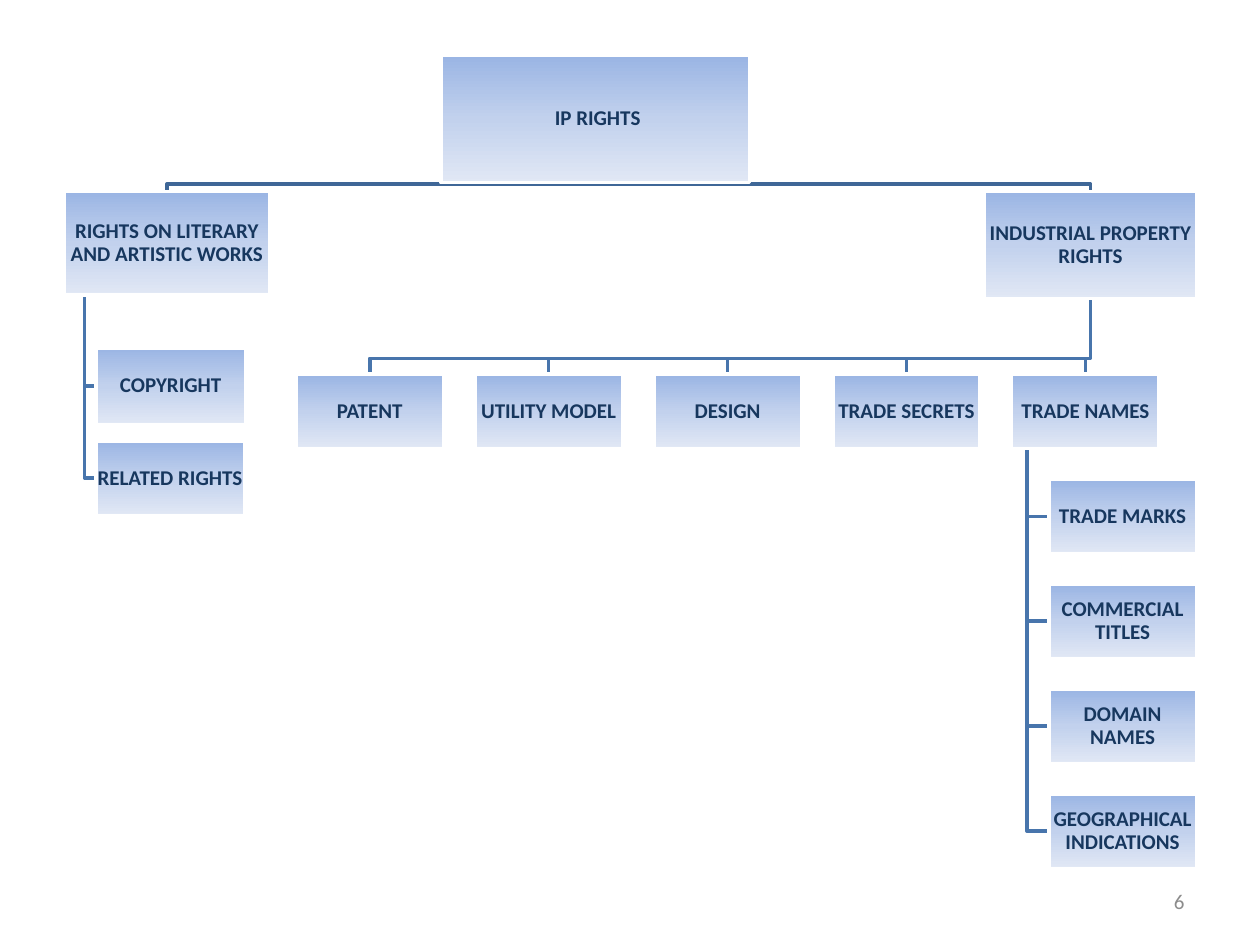
from collections import namedtuple
from copy import deepcopy

from pptx import Presentation
from pptx.dml.color import RGBColor
from pptx.enum.shapes import MSO_SHAPE as Preset
from pptx.enum.text import MSO_ANCHOR as Anchor, PP_ALIGN as Align
from pptx.util import Inches, Pt

COLORS = {
    "top": "9AB5E4", "middle": "C2D1ED", "bottom": "E1E8F5", "border": "FFFFFF",
    "text": "17375E", "number": "8C8C8C", "upper_line": "3F6797", "line": "4875AC",
}
COLUMNS, ROWS = 100, 75
SLIDE_WIDTH, SLIDE_HEIGHT = Inches(10), Inches(7.5)
LEAF_WIDTH, LEAF_HEIGHT = 11.7, 5.9
Box = namedtuple("Box", "left top width height")


def color(name):
    """Return the named colour."""
    return RGBColor.from_string(COLORS[name])


def across(columns):
    """Turn grid columns into a length."""
    return round(SLIDE_WIDTH * columns / COLUMNS)


def down(rows):
    """Turn grid rows into a length."""
    return round(SLIDE_HEIGHT * rows / ROWS)


def extent(box):
    """Turn a grid box into slide lengths."""
    return across(box.left), down(box.top), across(box.width), down(box.height)


def inside(region, left, top, width, height):
    """Place a box relative to the corner of a region."""
    return Box(region.left + left, region.top + top, width, height)


def center(box):
    """Return the horizontal middle of a box."""
    return box.left + box.width / 2


def write(shape, text, color_name, align, bold=False):
    """Put one formatted line of text into a shape."""
    frame = shape.text_frame
    frame.word_wrap = True
    frame.vertical_anchor = Anchor.MIDDLE
    frame.text = text
    paragraph = frame.paragraphs[0]
    paragraph.alignment = align
    font = paragraph.runs[0].font
    font.name, font.size, font.bold = "Calibri", Pt(12), bold
    font.color.rgb = color(color_name)
    return frame


def add_node(slide, box, text, preset=Preset.RECTANGLE):
    """Draw one labelled box with a vertical gradient."""
    shape = slide.shapes.add_shape(preset, *extent(box))
    shape.shadow.inherit = False
    shape.fill.gradient()
    shape.fill.gradient_angle = 270
    stop_list = shape._element.spPr.gradFill.gsLst
    stop_list.insert(1, deepcopy(stop_list[0]))
    stops = zip(shape.fill.gradient_stops, (0, 0.5, 1), ("top", "middle", "bottom"))
    for stop, position, name in stops:
        stop.position = position
        stop.color.rgb = color(name)
    shape.line.color.rgb = color("border")
    shape.line.width = Pt(2)
    frame = write(shape, text, "text", Align.CENTER, True)
    frame.margin_left = frame.margin_right = Inches(0.01)
    frame.margin_top = frame.margin_bottom = Inches(0.01)
    frame.paragraphs[0].line_spacing = 0.9


def add_path(slide, points, color_name="line"):
    """Draw an open line through grid points."""
    start, *others = [(across(x), down(y)) for x, y in points]
    builder = slide.shapes.build_freeform(*start)
    builder.add_line_segments(others, close=False)
    shape = builder.convert_to_shape()
    shape.shadow.inherit = False
    shape.fill.background()
    shape.line.color.rgb = color(color_name)
    shape.line.width = Pt(2)


def add_list(slide, trunk, top, boxes, labels):
    """Draw stacked boxes hanging from a trunk on their left."""
    for box in boxes:
        middle = box.top + box.height / 2
        add_path(slide, [(trunk, top), (trunk, middle), (box.left, middle)])
    for box, label in zip(boxes, labels):
        add_node(slide, box, label)


def add_root(slide, box, branches):
    """Draw the top box and its lines to the branches."""
    level = box.top + box.height + 0.1
    for branch in branches:
        points = [(center(box), level), (center(branch), level), (center(branch), branch.top)]
        add_path(slide, points, "upper_line")
    add_node(slide, box, " IP RIGHTS")


def add_literary_branch(slide, head):
    """Draw the literary and artistic branch under its head box."""
    boxes = [inside(head, 2.5, 12.4, 11.9, 6.1), inside(head, 2.5, 19.8, 11.8, 5.9)]
    add_list(slide, head.left + 1.6, head.top + head.height, boxes, ["COPYRIGHT", "RELATED RIGHTS"])
    add_node(slide, head, "RIGHTS ON LITERARY AND ARTISTIC WORKS", Preset.LINE_CALLOUT_1)


def add_industrial_branch(slide, head):
    """Draw the industrial property branch under its head box."""
    labels = ["PATENT", "UTILITY MODEL", "DESIGN", "TRADE SECRETS", "TRADE NAMES"]
    signs = ["TRADE MARKS", "COMMERCIAL TITLES", "DOMAIN NAMES", "GEOGRAPHICAL INDICATIONS"]
    row = [inside(head, -54.6 + 14.2 * i, 14.5, LEAF_WIDTH, LEAF_HEIGHT) for i in range(len(labels))]
    last = row[-1]
    stack = [inside(last, 2.95, 8.33 * (i + 1), LEAF_WIDTH, LEAF_HEIGHT) for i in range(len(signs))]
    add_list(slide, last.left + 1.2, last.top + last.height, stack, signs)
    bottom, level = head.top + head.height, last.top - 1.25
    for box in row:
        add_path(slide, [(center(head), bottom), (center(head), level),
                         (center(box), level), (center(box), box.top)])
    for box, label in zip(row, labels):
        add_node(slide, box, label)
    add_node(slide, head, "INDUSTRIAL PROPERTY RIGHTS")


def add_page_number(slide, box):
    """Write the page number."""
    write(slide.shapes.add_textbox(*extent(box)), "6", "number", Align.RIGHT)


def main():
    """Build and save the slide."""
    presentation = Presentation()
    presentation.slide_width, presentation.slide_height = SLIDE_WIDTH, SLIDE_HEIGHT
    slide = presentation.slides.add_slide(presentation.slide_layouts[6])
    literary, industrial = Box(5.1, 15.2, 16.3, 8.2), Box(78.1, 15.2, 16.9, 8.5)
    add_root(slide, Box(35, 4.4, 24.5, 10.1), [literary, industrial])
    add_literary_branch(slide, literary)
    add_industrial_branch(slide, industrial)
    add_page_number(slide, Box(71.7, 69.5, 23.3, 4))
    presentation.save("out.pptx")


main()
